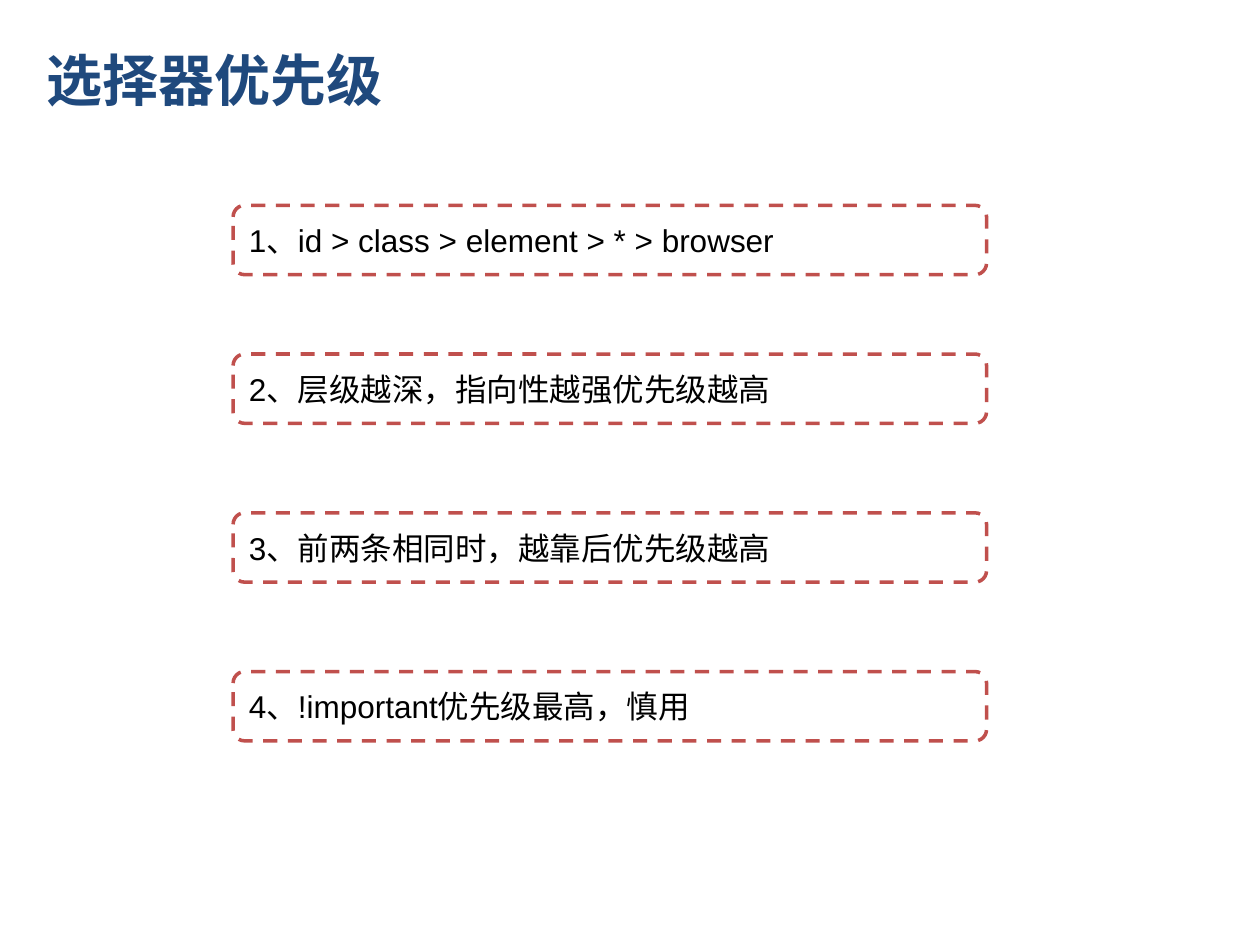
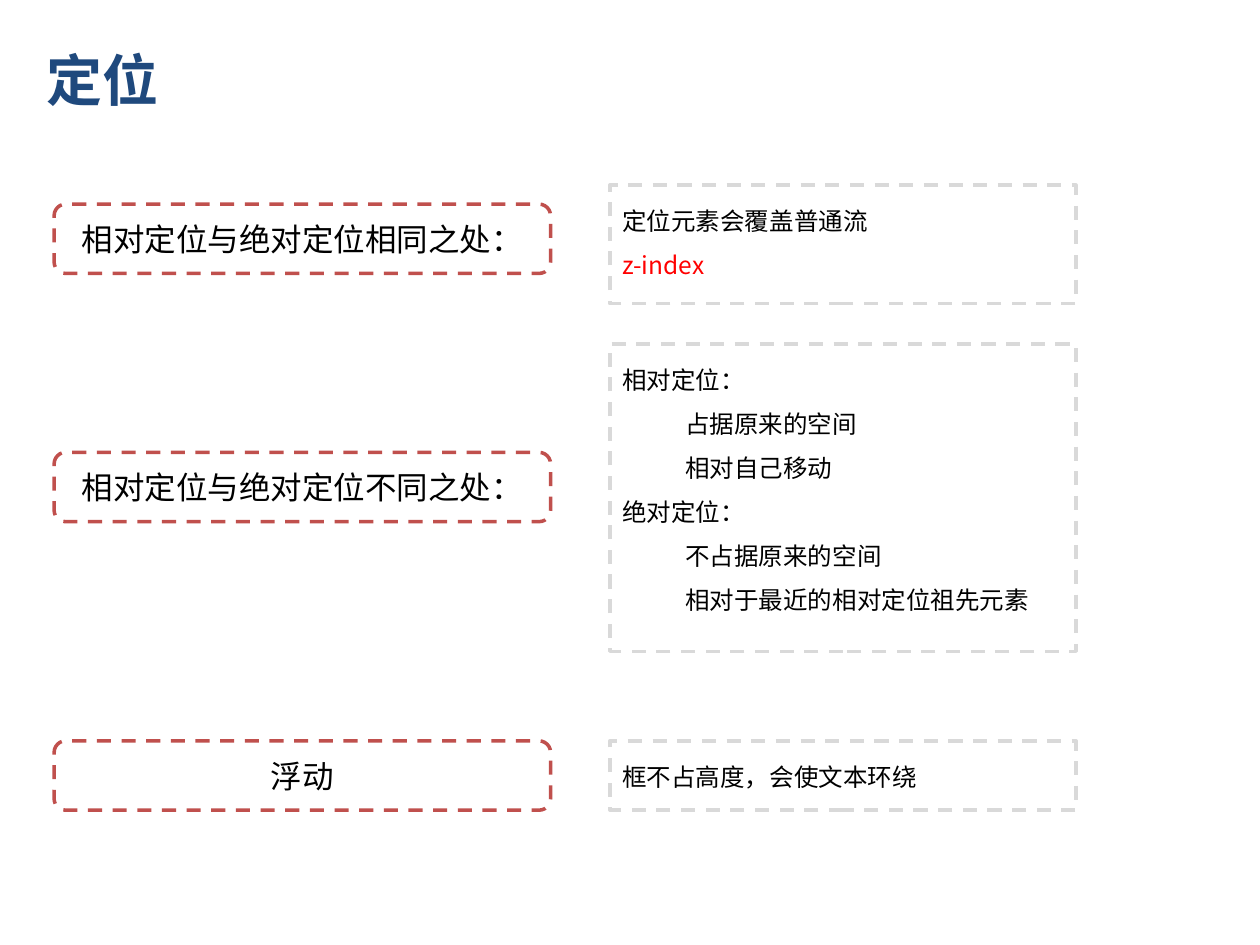
from lxml import etree
from pptx import Presentation
from pptx.dml.color import RGBColor
from pptx.enum.dml import MSO_LINE
from pptx.enum.shapes import MSO_SHAPE
from pptx.enum.text import MSO_ANCHOR, PP_ALIGN
from pptx.oxml.ns import qn
from pptx.util import Inches, Pt

DASH = MSO_LINE.DASH
ROUNDED, RECTANGLE = MSO_SHAPE.ROUNDED_RECTANGLE, MSO_SHAPE.RECTANGLE
TOP, MIDDLE = MSO_ANCHOR.TOP, MSO_ANCHOR.MIDDLE
LEFT, CENTER = PP_ALIGN.LEFT, PP_ALIGN.CENTER

COLORS = {
    "title": "1F497D",
    "text": "000000",
    "alert": "FF0000",
    "paper": "FFFFFF",
    "rule": "C0504D",
    "detail": "D9D9D9",
}
CJK_FONT = "Noto Sans CJK SC"
TITLE_FONT = {"name": "Calibri", "size": Pt(32), "bold": True}
RULE_FONT = {"name": "Arial", "size": Pt(18)}
DETAIL_FONT = {"name": CJK_FONT, "size": Pt(14)}

TITLE_BOX = (0.27, 0.23, 7.87, 0.79)
BAR_HEIGHT = 0.55
INDENT = 0.5

PRIORITY_RULES = [
    (1.63, "1、id > class > element > * > browser"),
    (2.81, "2、层级越深，指向性越强优先级越高"),
    (4.07, "3、前两条相同时，越靠后优先级越高"),
    (5.33, "4、!important优先级最高，慎用"),
]
POSITION_TOPICS = [
    (1.62, "相对定位与绝对定位相同之处：", 1.47, 0.94,
     [("定位元素会覆盖普通流", 0, "text"), ("z-index", 0, "alert")]),
    (3.59, "相对定位与绝对定位不同之处：", 2.73, 2.44,
     [("相对定位：", 0, "text"),
      ("占据原来的空间", 1, "text"),
      ("相对自己移动", 1, "text"),
      ("绝对定位：", 0, "text"),
      ("不占据原来的空间", 1, "text"),
      ("相对于最近的相对定位祖先元素", 1, "text")]),
    (5.88, "浮动", 5.88, BAR_HEIGHT, [("框不占高度，会使文本环绕", 0, "text")]),
]


def set_values(target, values):
    """Set each named attribute of the target."""
    for name, value in values.items():
        setattr(target, name, value)


def add_span(para, text, font, color):
    """Add one formatted run to a paragraph."""
    span = para.add_run()
    span.text = text
    set_values(span.font, font)
    span.font.color.rgb = RGBColor.from_string(COLORS[color])
    properties = span.font._element
    etree.SubElement(properties, qn("a:ea"), typeface=CJK_FONT)


def add_page(deck, title):
    """Add a page with the shared title style."""
    page = deck.slides.add_slide(deck.slide_layouts[5])
    box = page.shapes.title
    left, top, width, height = map(Inches, TITLE_BOX)
    set_values(box, {"left": left, "top": top, "width": width, "height": height})
    box.text_frame.vertical_anchor = MIDDLE
    para = box.text_frame.paragraphs[0]
    para.alignment = LEFT
    add_span(para, title, TITLE_FONT, "title")
    return page


def add_dashed_box(page, shape_type, bounds, color, anchor):
    """Add a white box with a dashed outline and return its text frame."""
    box = page.shapes.add_shape(shape_type, *map(Inches, bounds))
    box.shadow.inherit = False
    box.fill.solid()
    box.fill.fore_color.rgb = RGBColor.from_string(COLORS["paper"])
    box.line.color.rgb = RGBColor.from_string(COLORS[color])
    set_values(box.line, {"width": Pt(2), "dash_style": DASH})
    set_values(box.text_frame, {"word_wrap": True, "vertical_anchor": anchor})
    return box.text_frame


def add_rule_bar(page, left, top, width, text, alignment):
    """Add a rounded bar with one line of text."""
    frame = add_dashed_box(page, ROUNDED, (left, top, width, BAR_HEIGHT), "rule", MIDDLE)
    para = frame.paragraphs[0]
    para.alignment = alignment
    add_span(para, text, RULE_FONT, "text")


def add_detail_box(page, bounds, lines):
    """Add a grey box listing lines at their indent levels."""
    frame = add_dashed_box(page, RECTANGLE, bounds, "detail", TOP)
    for index, (text, level, color) in enumerate(lines):
        para = frame.add_paragraph() if index else frame.paragraphs[0]
        set_values(para, {"alignment": LEFT, "line_spacing": 1.5})
        para._p.get_or_add_pPr().set("marL", str(Inches(INDENT * level)))
        add_span(para, text, DETAIL_FONT, color)


def build_priority_page(deck):
    """Build the page on selector priority."""
    page = add_page(deck, "选择器优先级")
    for top, text in PRIORITY_RULES:
        add_rule_bar(page, 1.85, top, 5.98, text, LEFT)


def build_position_page(deck):
    """Build the page that pairs positioning topics with details."""
    page = add_page(deck, "定位")
    for bar_top, topic, detail_top, detail_height, lines in POSITION_TOPICS:
        add_rule_bar(page, 0.43, bar_top, 3.94, topic, CENTER)
        add_detail_box(page, (4.84, detail_top, 3.7, detail_height), lines)


def main():
    """Build and save the deck."""
    deck = Presentation()
    set_values(deck, {"slide_width": Inches(10), "slide_height": Inches(7.5)})
    build_priority_page(deck)
    build_position_page(deck)
    deck.save("out.pptx")


if __name__ == "__main__":
    main()
